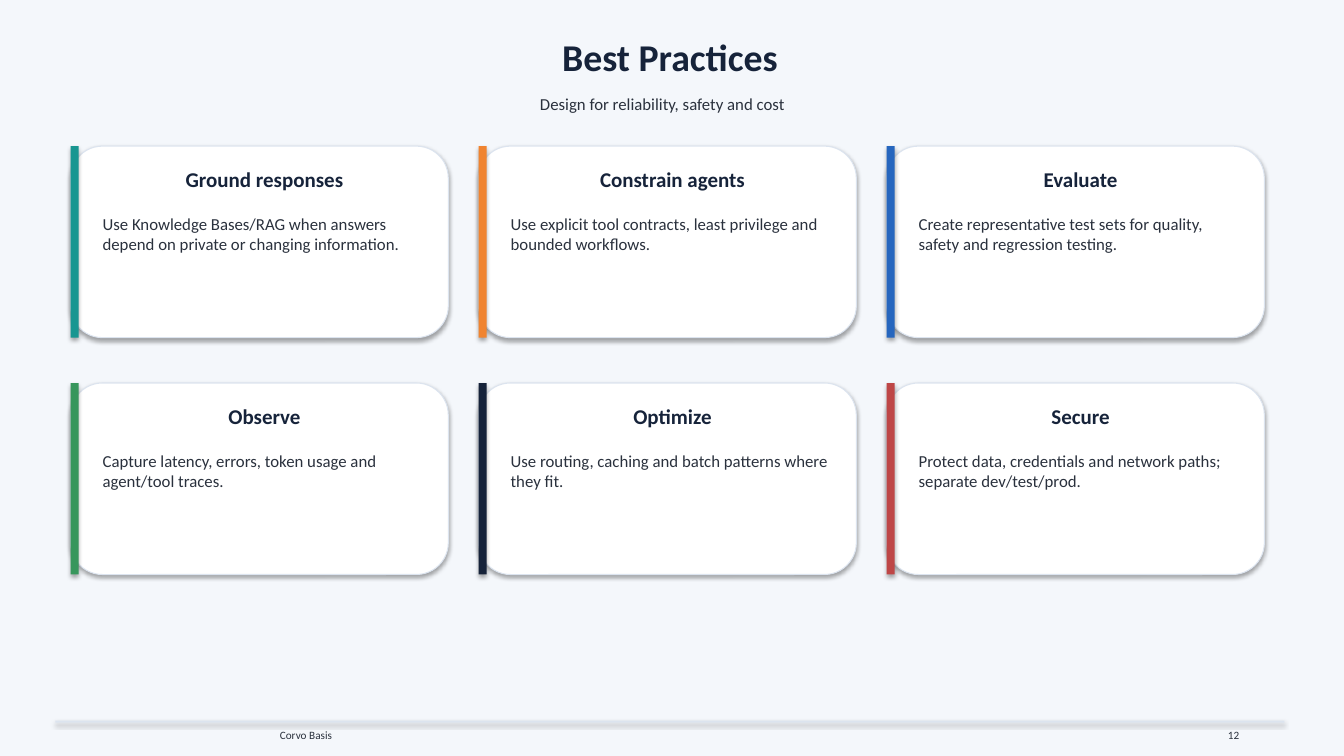
from dataclasses import dataclass

from pptx import Presentation
from pptx.dml.color import RGBColor
from pptx.enum.shapes import MSO_SHAPE
from pptx.enum.text import MSO_ANCHOR, MSO_AUTO_SIZE, PP_ALIGN
from pptx.util import Inches, Pt

RECTANGLE, ROUNDED = MSO_SHAPE.RECTANGLE, MSO_SHAPE.ROUNDED_RECTANGLE
LEFT, CENTER, RIGHT = PP_ALIGN.LEFT, PP_ALIGN.CENTER, PP_ALIGN.RIGHT
TOP = MSO_ANCHOR.TOP
NO_AUTOFIT = MSO_AUTO_SIZE.NONE


@dataclass(frozen=True)
class Theme:
    font: str = "Calibri"
    background: str = "F4F7FB"
    card: str = "FFFFFF"
    border: str = "DCE4EF"
    heading: str = "16233A"
    body: str = "2A313D"
    teal: str = "189691"
    orange: str = "F08430"
    blue: str = "2666BE"
    green: str = "37965C"
    navy: str = "16233A"
    red: str = "BE4646"
    title_size: int = 27
    heading_size: int = 15
    body_size: int = 12
    footer_size: int = 8


@dataclass(frozen=True)
class Box:
    left: float
    top: float
    width: float
    height: float

    def inner(self, dx, dy, width, height):
        return Box(self.left + dx, self.top + dy, width, height)

    def lengths(self):
        return [Inches(n) for n in (self.left, self.top, self.width, self.height)]


THEME = Theme()
HEADER = Box(0.55, 0.28, 12.2, 0.9)
CARDS = Box(0.7, 1.45, 11.85, 4.25)
FOOTER = Box(0.55, 7.15, 12.2, 0.26)
COLUMNS, ROWS, COLUMN_GAP, ROW_GAP = 3, 2, 0.3, 0.45

PRACTICES = [
    ("Ground responses", "Use Knowledge Bases/RAG when answers depend on private "
     "or changing information.", THEME.teal),
    ("Constrain agents", "Use explicit tool contracts, least privilege and "
     "bounded workflows.", THEME.orange),
    ("Evaluate", "Create representative test sets for quality, safety and "
     "regression testing.", THEME.blue),
    ("Observe", "Capture latency, errors, token usage and agent/tool traces.",
     THEME.green),
    ("Optimize", "Use routing, caching and batch patterns where they fit.",
     THEME.navy),
    ("Secure", "Protect data, credentials and network paths; separate "
     "dev/test/prod.", THEME.red),
]


def write(holder, text, size, color, align=LEFT, bold=False):
    frame = holder.text_frame
    frame.text = text
    frame.word_wrap = True
    frame.auto_size = NO_AUTOFIT
    frame.vertical_anchor = TOP
    paragraph = frame.paragraphs[0]
    paragraph.alignment = align
    font = paragraph.runs[0].font
    font.name, font.size, font.bold = THEME.font, Pt(size), bold
    font.color.rgb = RGBColor.from_string(color)


def add_label(slide, box, *content, **style):
    write(slide.shapes.add_textbox(*box.lengths()), *content, **style)


def add_block(slide, box, fill, preset=RECTANGLE):
    block = slide.shapes.add_shape(preset, *box.lengths())
    block.fill.solid()
    block.fill.fore_color.rgb = RGBColor.from_string(fill)
    block.line.fill.background()
    return block


def add_header(slide, box, title, subtitle):
    heading = slide.shapes.title
    heading.left, heading.top, heading.width, heading.height = box.inner(
        0, 0, box.width, 0.55).lengths()
    write(heading, title, THEME.title_size, THEME.heading, align=CENTER, bold=True)
    add_label(slide, box.inner(0, 0.6, box.width - 0.15, 0.3), subtitle,
              THEME.body_size, THEME.body, align=CENTER)


def add_card(slide, box, heading, advice, accent):
    card = add_block(slide, box, THEME.card, ROUNDED)
    card.line.color.rgb = RGBColor.from_string(THEME.border)
    card.line.width = Pt(0.75)
    add_block(slide, box.inner(0, 0, 0.08, box.height), accent)
    add_label(slide, box.inner(0.22, 0.15, box.width - 0.34, 0.35), heading,
              THEME.heading_size, THEME.heading, align=CENTER, bold=True)
    add_label(slide, box.inner(0.22, 0.62, box.width - 0.4, 0.5), advice,
              THEME.body_size, THEME.body)


def add_cards(slide, box, practices):
    width = (box.width - COLUMN_GAP * (COLUMNS - 1)) / COLUMNS
    height = (box.height - ROW_GAP * (ROWS - 1)) / ROWS
    for index, practice in enumerate(practices):
        row, column = divmod(index, COLUMNS)
        cell = box.inner(column * (width + COLUMN_GAP), row * (height + ROW_GAP),
                         width, height)
        add_card(slide, cell, *practice)


def add_footer(slide, box, topic, page):
    add_block(slide, box.inner(0, 0, box.width, 0.02), THEME.border)
    add_label(slide, box.inner(2.13, 0.03, 2, 0.23), topic,
              THEME.footer_size, THEME.body)
    add_label(slide, box.inner(box.width - 1.35, 0.03, 1, 0.23), page,
              THEME.footer_size, THEME.body, align=RIGHT)


def main():
    deck = Presentation()
    deck.slide_width, deck.slide_height = Inches(13.34), Inches(7.5)
    slide = deck.slides.add_slide(deck.slide_layouts.get_by_name("Title Only"))
    slide.background.fill.solid()
    slide.background.fill.fore_color.rgb = RGBColor.from_string(THEME.background)
    add_header(slide, HEADER, "Best Practices",
               "Design for reliability, safety and cost")
    add_footer(slide, FOOTER, "Corvo Basis", "12")
    add_cards(slide, CARDS, PRACTICES)
    deck.save("out.pptx")


if __name__ == "__main__":
    main()
